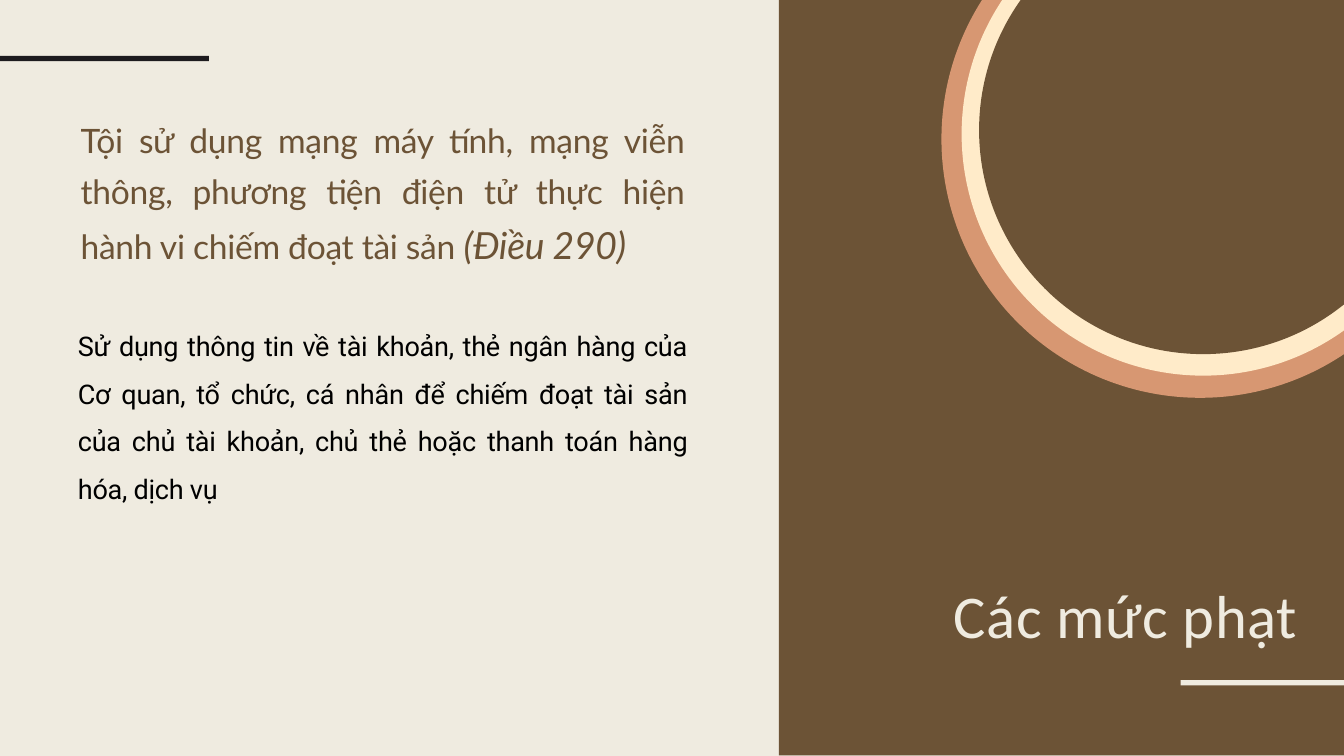
from pptx import Presentation
from pptx import util as u
from pptx.dml.color import RGBColor
from pptx.enum import shapes, text

COLORS = {
    "cream": "EFEBE0",
    "brown": "6C5336",
    "ink": "1D1B1E",
    "black": "000000",
    "copper": "D79772",
    "vanilla": "FFEBC9",
}
RECTANGLE = shapes.MSO_SHAPE.RECTANGLE
OVAL = shapes.MSO_SHAPE.OVAL
JUSTIFY = text.PP_ALIGN.JUSTIFY
RIGHT = text.PP_ALIGN.RIGHT

SHAPES = [
    (RECTANGLE, (11.59, -0.38, 8.58, 11.62), "brown"),
    (RECTANGLE, (17.57, 10.12, 2.6, 0.08), "cream"),
    (RECTANGLE, (-0.85, 0.83, 3.96, 0.08), "ink"),
    (OVAL, (14.01, -1.78, 7.7, 7.7), "copper"),
    (OVAL, (14.31, -1.6, 7.19, 7.19), "vanilla"),
    (OVAL, (14.57, -1.4, 6.67, 6.67), "brown"),
]

TEXTS = [
    {
        "box": (13.75, 8.6, 5.56, 1.09), "align": RIGHT, "line": u.Pt(78),
        "font": "Calibri", "color": "cream", "tracking": 60,
        "runs": [("Các mức phạt", 65, False)],
    },
    {
        "box": (1.16, 4.68, 9.07, 2.77), "align": JUSTIFY, "line": u.Pt(51),
        "font": "Roboto", "color": "black", "tracking": -30,
        "runs": [("Sử dụng thông tin về tài khoản, thẻ ngân hàng của Cơ quan, "
                  "tổ chức, cá nhân để chiếm đoạt tài sản của chủ tài khoản, "
                  "chủ thẻ hoặc thanh toán hàng hóa, dịch vụ", 29, False)],
    },
    {
        "box": (1.2, 1.64, 8.99, 2.31), "align": JUSTIFY, "line": 1.25,
        "font": "Lato", "color": "brown", "tracking": -30,
        "runs": [("Tội sử dụng mạng máy tính, mạng viễn thông, phương tiện "
                  "điện tử thực hiện hành vi chiếm đoạt tài sản ", 36, False),
                 ("(Điều 290)", 40, True)],
    },
]


def rgb(name):
    return RGBColor.from_string(COLORS[name])


def add_block(slide, kind, box, color):
    shape = slide.shapes.add_shape(kind, *map(u.Inches, box))
    shape.shadow.inherit = False
    shape.fill.solid()
    shape.fill.fore_color.rgb = rgb(color)
    shape.line.fill.background()


def add_text(slide, item):
    frame = slide.shapes.add_textbox(*map(u.Inches, item["box"])).text_frame
    frame.word_wrap = True
    frame.auto_size = text.MSO_AUTO_SIZE.SHAPE_TO_FIT_TEXT
    frame.margin_left = frame.margin_right = 0
    frame.margin_top = frame.margin_bottom = 0
    paragraph = frame.paragraphs[0]
    paragraph.alignment = item["align"]
    paragraph.line_spacing = item["line"]
    for words, size, italic in item["runs"]:
        run = paragraph.add_run()
        run.text = words
        run.font.name = item["font"]
        run.font.size = u.Pt(size)
        run.font.italic = italic
        run.font.color.rgb = rgb(item["color"])
        run.font._element.set("spc", str(item["tracking"]))


def main():
    presentation = Presentation()
    presentation.slide_width = u.Inches(20)
    presentation.slide_height = u.Inches(11.25)
    slide = presentation.slides.add_slide(presentation.slide_layouts[6])
    slide.background.fill.solid()
    slide.background.fill.fore_color.rgb = rgb("cream")
    for kind, box, color in SHAPES:
        add_block(slide, kind, box, color)
    for item in TEXTS:
        add_text(slide, item)
    presentation.save("out.pptx")


if __name__ == "__main__":
    main()
